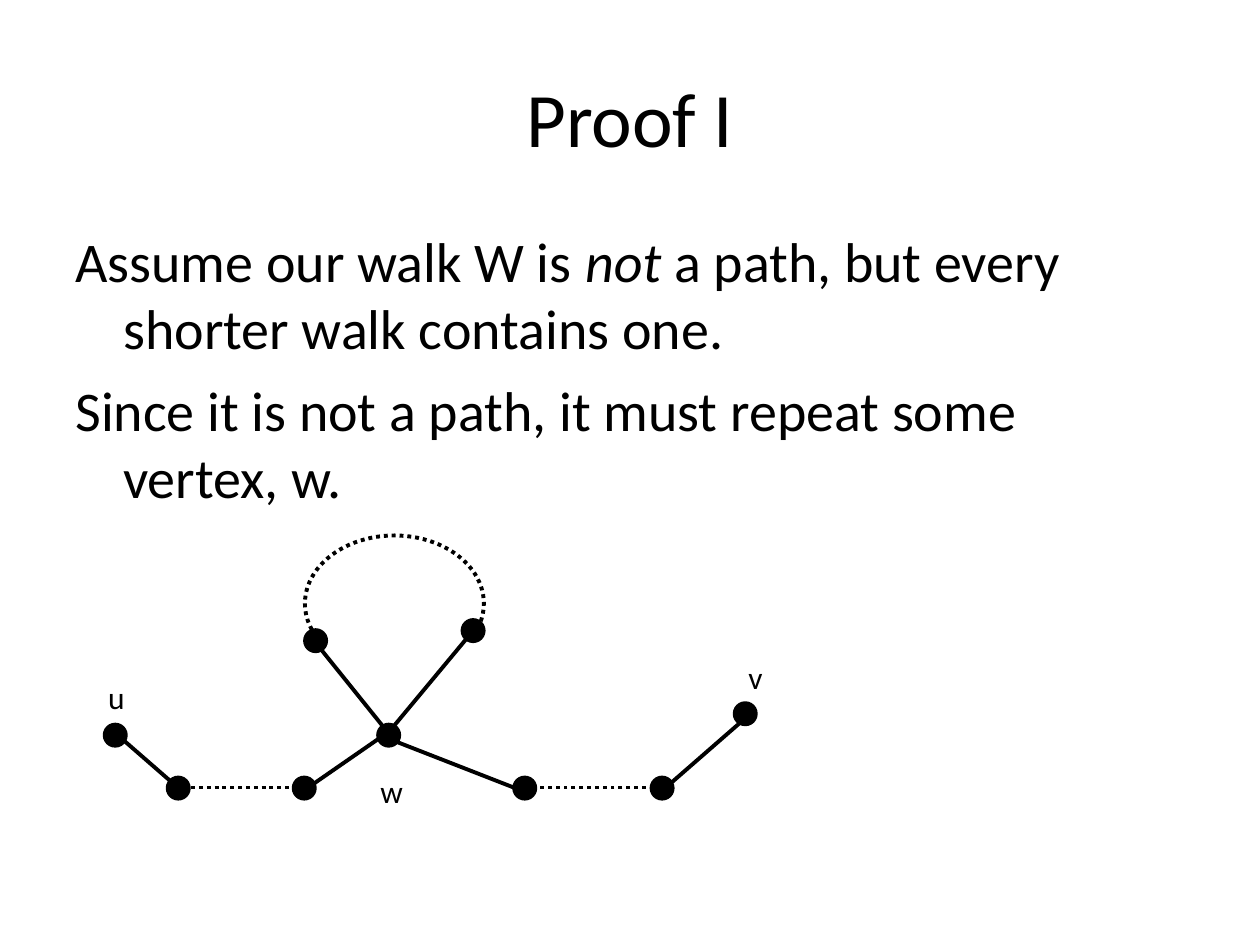
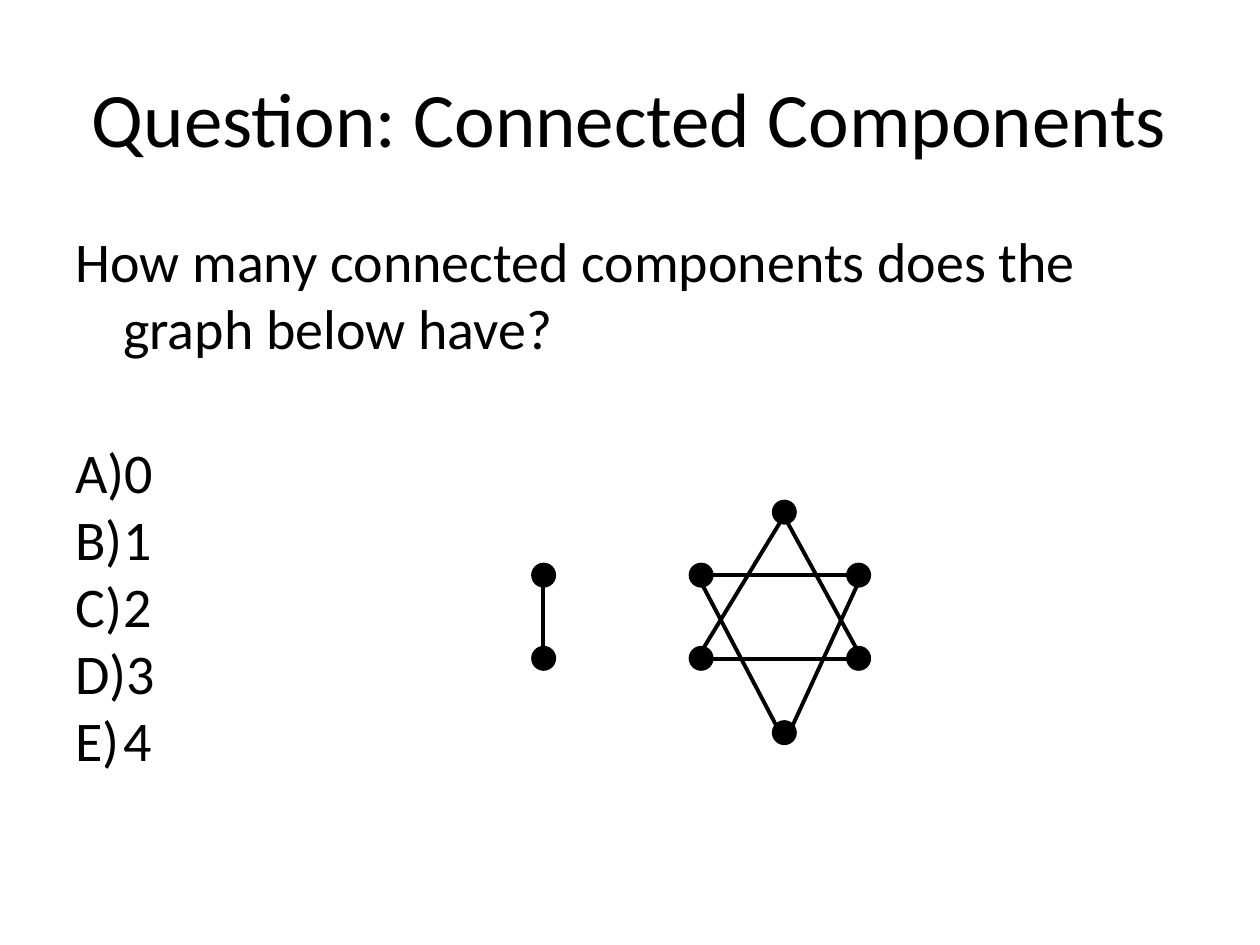
"""Build two graph theory slides: a proof about walks and a question on components."""
import pptx
import pptx.dml.color
import pptx.enum.dml
import pptx.enum.shapes
import pptx.enum.text
import pptx.oxml.ns
import pptx.util
from lxml import etree
from pptx.util import Inches

COLORS = {"ink": "000000", "paper": "FFFFFF"}
FONT_NAME = "Calibri"
TITLE_FORMAT = {"size": pptx.util.Pt(44), "name": FONT_NAME}
BODY_FORMAT = {"size": pptx.util.Pt(32), "name": FONT_NAME}
LABEL_FORMAT = {"size": pptx.util.Pt(18), "name": FONT_NAME}
BODY_GAP = pptx.util.Pt(8)
HANGING_INDENT = 0.38
DOT_SIZE = 0.17
DOT_OUTLINE = 2
EDGE_WIDTH = 2.25
DOTTED = pptx.enum.dml.MSO_LINE.ROUND_DOT

WALK_DOTS = [(0.83, 5.75), (1.33, 6.17), (2.33, 6.17), (3, 5.75), (2.42, 5),
             (3.67, 4.92), (4.08, 6.17), (5.17, 6.17), (5.83, 5.58)]
WALK_EDGES = [(0.86, 5.77, 1.48, 6.31), (2.36, 6.31, 3.14, 5.77),
              (3.81, 4.94, 3.02, 5.89), (2.44, 5.02, 3.14, 5.89),
              (4.23, 6.31, 3, 5.83), (5.95, 5.67, 5.25, 6.28)]
WALK_GAPS = [(1.33, 6.25, 2.5, 6.25), (5.25, 6.25, 4.25, 6.25)]
WALK_LABELS = [("u", 0.76, 5.33, 0.33), ("v", 5.84, 5.17, 0.31), ("w", 2.92, 6.08, 0.38)]

COMPONENT_DOTS = [(left, top) for left in (4.23, 5.48, 6.73) for top in (4.48, 5.14)]
COMPONENT_DOTS += [(6.14, 3.98), (6.14, 5.73)]
COMPONENT_EDGES = [(4.31, 4.48, 4.31, 5.31), (6.28, 4, 5.5, 5.28),
                   (5.48, 5.23, 6.89, 5.23), (6.17, 4, 6.87, 5.28),
                   (5.48, 4.56, 6.89, 4.56), (5.5, 4.5, 6.23, 5.89),
                   (6.87, 4.5, 6.23, 5.89)]


def color(name):
    return pptx.dml.color.RGBColor.from_string(COLORS[name])


def style_font(font, format_values):
    for attribute, value in format_values.items():
        setattr(font, attribute, value)
    font.color.rgb = color("ink")


def style_line(line, width, dash=None):
    line.color.rgb = color("ink")
    line.width = pptx.util.Pt(width)
    if dash:
        line.dash_style = dash


def add_titled_slide(presentation, title_text):
    slide = presentation.slides.add_slide(presentation.slide_layouts[5])
    slide.background.fill.solid()
    slide.background.fill.fore_color.rgb = color("paper")
    title = slide.shapes.title
    position = {"left": 0.5, "top": 0.3, "width": 9, "height": 1.25}
    for attribute, value in position.items():
        setattr(title, attribute, Inches(value))
    title.text_frame.text = title_text
    title.text_frame.vertical_anchor = pptx.enum.text.MSO_ANCHOR.MIDDLE
    paragraph = title.text_frame.paragraphs[0]
    paragraph.alignment = pptx.enum.text.PP_ALIGN.CENTER
    style_font(paragraph.runs[0].font, TITLE_FORMAT)
    return slide


def hang_paragraph(paragraph, numbered):
    properties = paragraph._p.get_or_add_pPr()
    properties.set("marL", str(Inches(HANGING_INDENT)))
    properties.set("indent", str(-Inches(HANGING_INDENT)))
    if numbered:
        bullet = etree.SubElement(properties, pptx.oxml.ns.qn("a:buAutoNum"))
        bullet.set("type", "alphaUcParenR")


def add_body(slide, top, width, height, paragraphs, numbered=False):
    """Write paragraphs, each a list of (text, italic) runs, with a hanging indent."""
    box = slide.shapes.add_textbox(Inches(0.5), Inches(top), Inches(width), Inches(height))
    frame = box.text_frame
    frame.word_wrap = True
    for index, runs in enumerate(paragraphs):
        paragraph = frame.add_paragraph() if index else frame.paragraphs[0]
        hang_paragraph(paragraph, numbered)
        if index and not numbered:
            paragraph.space_before = BODY_GAP
        for text, italic in runs:
            run = paragraph.add_run()
            run.text = text
            style_font(run.font, {**BODY_FORMAT, "italic": italic})


def add_label(slide, text, left, top, width):
    box = slide.shapes.add_textbox(Inches(left), Inches(top), Inches(width), Inches(0.4))
    box.text_frame.word_wrap = False
    box.text_frame.auto_size = pptx.enum.text.MSO_AUTO_SIZE.SHAPE_TO_FIT_TEXT
    box.text_frame.text = text
    style_font(box.text_frame.paragraphs[0].runs[0].font, LABEL_FORMAT)


def add_dot(slide, left, top):
    dot = slide.shapes.add_shape(pptx.enum.shapes.MSO_SHAPE.OVAL, Inches(left), Inches(top),
                                 Inches(DOT_SIZE), Inches(DOT_SIZE))
    dot.shadow.inherit = False
    dot.fill.solid()
    dot.fill.fore_color.rgb = color("ink")
    style_line(dot.line, DOT_OUTLINE)


def add_edge(slide, ends, dash=None):
    edge = slide.shapes.add_connector(pptx.enum.shapes.MSO_CONNECTOR.STRAIGHT,
                                      *[Inches(value) for value in ends])
    etree.SubElement(edge._element.spPr, pptx.oxml.ns.qn("a:effectLst"))
    style_line(edge.line, EDGE_WIDTH, dash)


def add_graph(slide, dots, edges, dotted_edges=()):
    for left, top in dots:
        add_dot(slide, left, top)
    for ends in edges:
        add_edge(slide, ends)
    for ends in dotted_edges:
        add_edge(slide, ends, DOTTED)


def add_loop(slide, left, top, width, height, angles):
    """Draw a dotted arc clockwise between two angles in degrees."""
    loop = slide.shapes.add_shape(pptx.enum.shapes.MSO_SHAPE.ARC, Inches(left), Inches(top),
                                  Inches(width), Inches(height))
    for index, angle in enumerate(angles):
        loop.adjustments[index] = angle * 60000 / 100000
    loop.shadow.inherit = False
    loop.fill.background()
    style_line(loop.line, EDGE_WIDTH, DOTTED)


def build_proof(presentation):
    slide = add_titled_slide(presentation, "Proof I")
    add_body(slide, 1.75, 9, 2.42, [
        [("Assume our walk W is ", False), ("not", True),
         (" a path, but every shorter walk contains one.", False)],
        [("Since it is not a path, it must repeat some vertex, w.", False)],
    ])
    add_graph(slide, WALK_DOTS, WALK_EDGES, WALK_GAPS)
    add_loop(slide, 2.42, 4.25, 1.42, 1.08, (162.4, 13.4))
    for label in WALK_LABELS:
        add_label(slide, *label)


def build_question(presentation):
    slide = add_titled_slide(presentation, "Question: Connected Components")
    question = "How many connected components does the graph below have?"
    add_body(slide, 1.75, 9, 1.42, [[(question, False)]])
    add_graph(slide, COMPONENT_DOTS, COMPONENT_EDGES)
    answers = [[(str(count), False)] for count in range(5)]
    add_body(slide, 3.42, 4.5, 2.77, answers, numbered=True)


def main():
    presentation = pptx.Presentation()
    presentation.slide_width = Inches(10)
    presentation.slide_height = Inches(7.5)
    build_proof(presentation)
    build_question(presentation)
    presentation.save("out.pptx")


if __name__ == "__main__":
    main()
